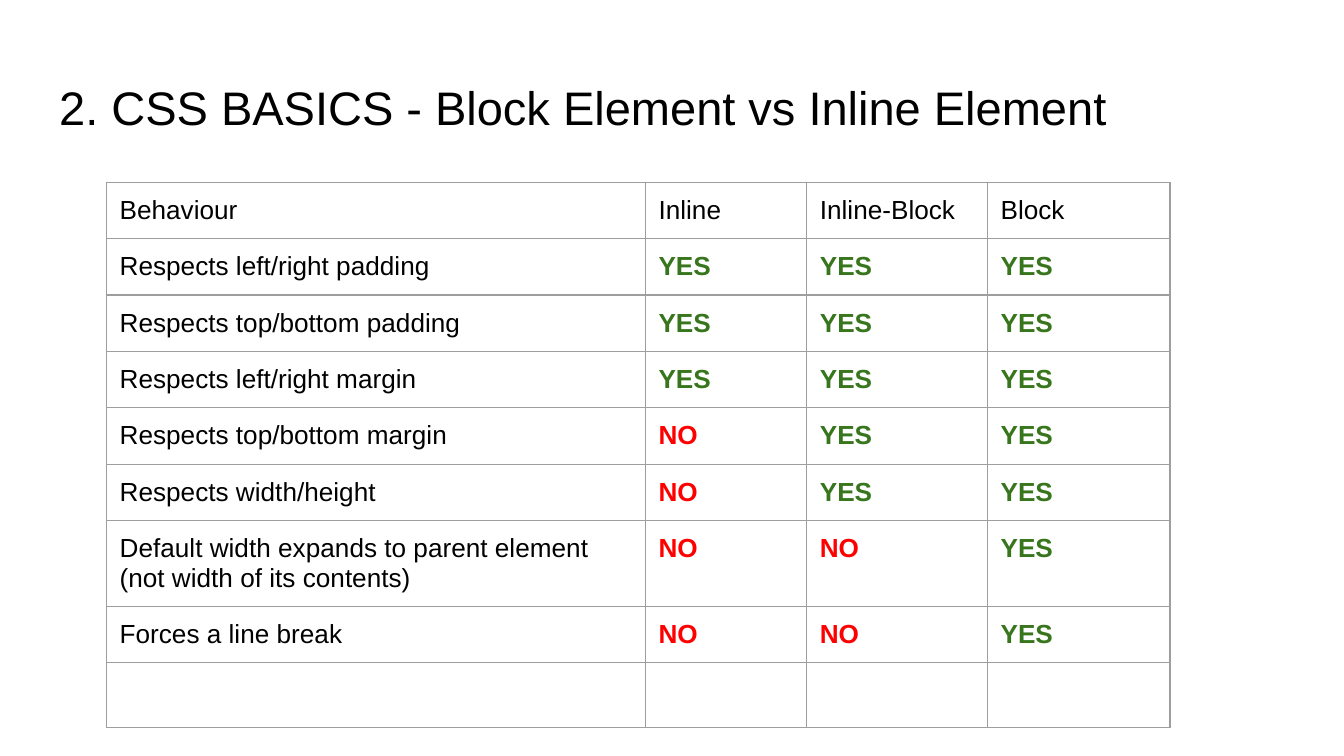
import copy
import dataclasses

import pptx
import pptx.dml.color
import pptx.enum.text
import pptx.oxml
import pptx.oxml.ns
import pptx.util

EMU_PER_PX = 4572
TITLE_ONLY_LAYOUT = 5


@dataclasses.dataclass(frozen=True)
class Theme:
    font: str = "Arial"
    title_size: float = 25.2
    body_size: float = 14
    empty_size: float = 18
    border_width: float = 0.75
    inset: int = 20
    background: str = "FFFFFF"
    text: str = "000000"
    border: str = "9E9E9E"
    yes: str = "38761D"
    no: str = "FF0000"


def px(length):
    return pptx.util.Emu(length * EMU_PER_PX)


def write_text(text_frame, text, *, font, size, color, bold=False):
    paragraph = text_frame.paragraphs[0]
    paragraph.text = text
    paragraph.alignment = pptx.enum.text.PP_ALIGN.LEFT
    for run in paragraph.runs:
        run.font.name = font
        run.font.size = pptx.util.Pt(size)
        run.font.bold = bold
        run.font.color.rgb = pptx.dml.color.RGBColor.from_string(color)
    for line_break in paragraph._p.findall(pptx.oxml.ns.qn("a:br")):
        line_break.insert(0, copy.deepcopy(paragraph.runs[0]._r.rPr))
    if not text:
        paragraph._p.append(pptx.oxml.parse_xml(
            f'<a:endParaRPr {pptx.oxml.ns.nsdecls("a")} sz="{int(size * 100)}">'
            f'<a:latin typeface="{font}"/></a:endParaRPr>'))


class SlideBuilder:
    def __init__(self, slide, theme):
        self.slide = slide
        self.theme = theme
        fill = slide.background.fill
        fill.solid()
        fill.fore_color.rgb = pptx.dml.color.RGBColor.from_string(theme.background)

    def set_insets(self, target):
        target.margin_left = target.margin_right = px(self.theme.inset)
        target.margin_top = target.margin_bottom = px(self.theme.inset)

    def add_title(self, text, left, top, width, height):
        title = self.slide.shapes.title
        title.left, title.top = px(left), px(top)
        title.width, title.height = px(width), px(height)
        text_frame = title.text_frame
        text_frame.word_wrap = True
        text_frame.auto_size = pptx.enum.text.MSO_AUTO_SIZE.NONE
        text_frame.vertical_anchor = pptx.enum.text.MSO_ANCHOR.TOP
        self.set_insets(text_frame)
        write_text(text_frame, text, font=self.theme.font,
                   size=self.theme.title_size, color=self.theme.text)

    def add_borders(self, cell):
        properties = cell._tc.get_or_add_tcPr()
        width = pptx.util.Pt(self.theme.border_width)
        for side in ("lnL", "lnR", "lnT", "lnB"):
            properties.append(pptx.oxml.parse_xml(
                f'<a:{side} {pptx.oxml.ns.nsdecls("a")} w="{int(width)}">'
                f'<a:solidFill><a:srgbClr val="{self.theme.border}"/></a:solidFill>'
                f'</a:{side}>'))

    def add_table(self, rows, left, top, column_widths, row_height):
        frame = self.slide.shapes.add_table(
            len(rows), len(column_widths), px(left), px(top),
            px(sum(column_widths)), px(row_height * len(rows)))
        table = frame.table
        table.first_row = table.horz_banding = False
        for column, width in zip(table.columns, column_widths):
            column.width = px(width)
        answer_colors = {"YES": self.theme.yes, "NO": self.theme.no}
        for table_row, texts in zip(table.rows, rows):
            table_row.height = px(row_height)
            for cell, text in zip(table_row.cells, texts):
                self.set_insets(cell)
                self.add_borders(cell)
                cell.fill.background()
                write_text(cell.text_frame, text, font=self.theme.font,
                           size=self.theme.body_size if text else self.theme.empty_size,
                           color=answer_colors.get(text, self.theme.text),
                           bold=text in answer_colors)


def main():
    presentation = pptx.Presentation()
    presentation.slide_width, presentation.slide_height = px(2000), px(1125)
    layout = presentation.slide_layouts[TITLE_ONLY_LAYOUT]
    builder = SlideBuilder(presentation.slides.add_slide(layout), Theme())
    builder.add_title("2. CSS BASICS - Block Element vs Inline Element", 68, 97, 1864, 126)
    behaviours = [
        ("Behaviour", "Inline", "Inline-Block", "Block"),
        ("Respects left/right padding", "YES", "YES", "YES"),
        ("Respects top/bottom padding", "YES", "YES", "YES"),
        ("Respects left/right margin", "YES", "YES", "YES"),
        ("Respects top/bottom margin", "NO", "YES", "YES"),
        ("Respects width/height", "NO", "YES", "YES"),
        ("Default width expands to parent element\n(not width of its contents)",
         "NO", "NO", "YES"),
        ("Forces a line break", "NO", "NO", "YES"),
        ("", "", "", ""),
    ]
    builder.add_table(behaviours, 158, 271, (802, 240, 269, 272), 84)
    presentation.save("out.pptx")


if __name__ == "__main__":
    main()
